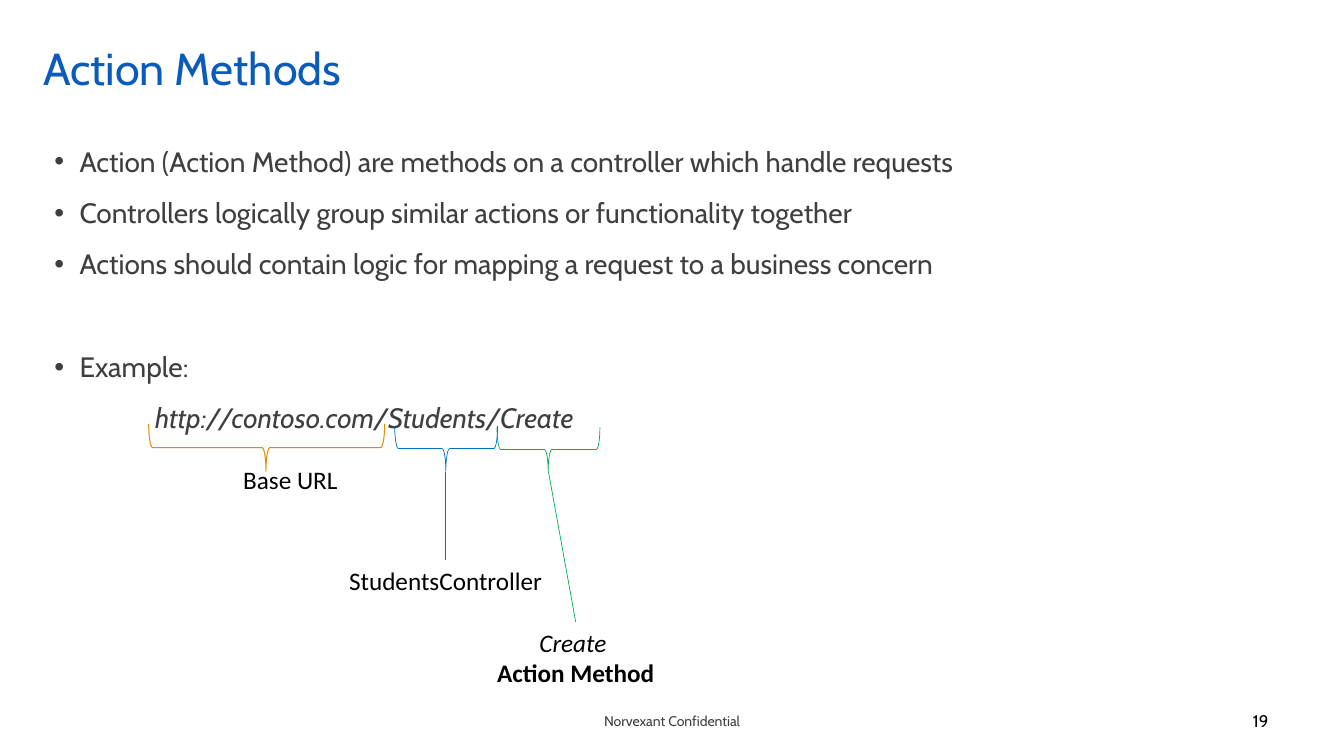
from lxml import etree
from pptx import Presentation
from pptx.dml.color import RGBColor
from pptx.enum.shapes import MSO_CONNECTOR, MSO_SHAPE
from pptx.enum.text import MSO_ANCHOR, MSO_AUTO_SIZE, PP_ALIGN
from pptx.oxml.ns import qn
from pptx.util import Emu, Pt

STRAIGHT = MSO_CONNECTOR.STRAIGHT
LEFT_BRACE = MSO_SHAPE.LEFT_BRACE
MIDDLE, TOP = MSO_ANCHOR.MIDDLE, MSO_ANCHOR.TOP
GROW = MSO_AUTO_SIZE.SHAPE_TO_FIT_TEXT
LEFT, CENTER, RIGHT = PP_ALIGN.LEFT, PP_ALIGN.CENTER, PP_ALIGN.RIGHT

BLUE = RGBColor(0x0A, 0x5B, 0xBA)
GRAY = RGBColor(0x3F, 0x3F, 0x3F)
BLACK = RGBColor(0, 0, 0)
URL_ORANGE = RGBColor(0xE0, 0x8E, 0x00)
CONTROLLER_BLUE = RGBColor(0x00, 0x70, 0xC0)
ACTION_GREEN = RGBColor(0x00, 0xB0, 0x50)

HEADING_FONT, LABEL_FONT = "Cabin", "Calibri"
EMU_PER_PX = 9144  # 100 px to the inch

BULLETS = [
    "Action (Action Method) are methods on a controller which handle requests",
    "Controllers logically group similar actions or functionality together",
    "Actions should contain logic for mapping a request to a business concern",
    "Example:",
]
URL = "http://contoso.com/Students/Create"


def px(n):
    return Emu(n * EMU_PER_PX)


def style_runs(p, size, color, font):
    for r in p.runs:
        r.font.size = Pt(size)
        r.font.color.rgb = color
        r.font.name = font


def add_text(slide, box, text, size, color, font=HEADING_FONT, align=LEFT, anchor=MIDDLE):
    """Add a wrapping text box with one styled paragraph and return its frame."""
    tf = slide.shapes.add_textbox(*map(px, box)).text_frame
    tf.word_wrap = True
    tf.vertical_anchor = anchor
    p = tf.paragraphs[0]
    p.text = text
    p.alignment = align
    style_runs(p, size, color, font)
    return tf


def add_label(slide, box, text):
    tf = add_text(slide, box, text, 18, BLACK, LABEL_FONT, CENTER, TOP)
    tf.auto_size = GROW
    return tf


def set_indent(p, left, first, bullet=None):
    pPr = p._p.get_or_add_pPr()
    pPr.set("marL", str(px(left)))
    pPr.set("indent", str(px(first)))
    if bullet:
        etree.SubElement(pPr, qn("a:buFont")).set("typeface", "Arial")
        etree.SubElement(pPr, qn("a:buChar")).set("char", bullet)
    else:
        etree.SubElement(pPr, qn("a:buNone"))


def add_body(slide):
    tf = slide.shapes.add_textbox(px(44), px(125), px(1222), px(542)).text_frame
    tf.word_wrap = True
    for i, text in enumerate(BULLETS + [URL]):
        p = tf.paragraphs[0] if i == 0 else tf.add_paragraph()
        p.text = text
        if text == URL:
            set_indent(p, 100, 0)
            p.runs[0].font.italic = True
        else:
            set_indent(p, 25, -25, "•")
        p.line_spacing = 1.4
        p.space_after = Pt(3)
        if text == "Example:":
            p.space_before = Pt(36.8)
        style_runs(p, 20, GRAY, HEADING_FONT)


def add_brace(slide, box, color, weight):
    """Add a brace that opens upwards; box is its frame before the turn."""
    sp = slide.shapes.add_shape(LEFT_BRACE, *map(px, box))
    sp.rotation = 270
    sp.adjustments[0] = 0.083
    sp.adjustments[1] = 0.497
    sp.shadow.inherit = False
    sp.fill.background()
    sp.line.color.rgb = color
    sp.line.width = Pt(weight)


def add_line(slide, ends, color):
    line = slide.shapes.add_connector(STRAIGHT, *map(px, ends))
    line.line.color.rgb = color
    line.line.width = Pt(0.5)
    etree.SubElement(line._element.spPr, qn("a:effectLst"))


def main():
    prs = Presentation()
    prs.slide_width, prs.slide_height = px(1333), px(750)
    slide = prs.slides.add_slide(prs.slide_layouts[6])

    add_text(slide, (511, 695, 311, 40), "Norvexant Confidential", 10, GRAY, align=CENTER)
    title = add_text(slide, (33, 33, 1233, 75), "Action Methods", 32, BLUE)
    title.paragraphs[0].line_spacing = 0.9
    add_text(slide, (968, 695, 300, 40), "19", 12, BLACK, align=RIGHT)
    add_body(slide)

    add_brace(slide, (241, 327, 47, 234), URL_ORANGE, 0.75)
    add_label(slide, (159, 456, 258, 40), "Base URL")

    add_brace(slide, (420, 394, 45, 102), CONTROLLER_BLUE, 0.5)
    add_line(slide, (442, 468, 442, 556), CONTROLLER_BLUE)
    add_label(slide, (313, 556, 258, 40), "StudentsController")

    add_brace(slide, (522, 395, 44, 102), ACTION_GREEN, 0.5)
    add_line(slide, (544, 468, 571, 617), ACTION_GREEN)
    action = add_label(slide, (442, 617, 258, 71), "Create \vAction Method")
    name, kind = action.paragraphs[0].runs
    name.font.italic = True
    kind.font.bold = True

    prs.save("out.pptx")


if __name__ == "__main__":
    main()
